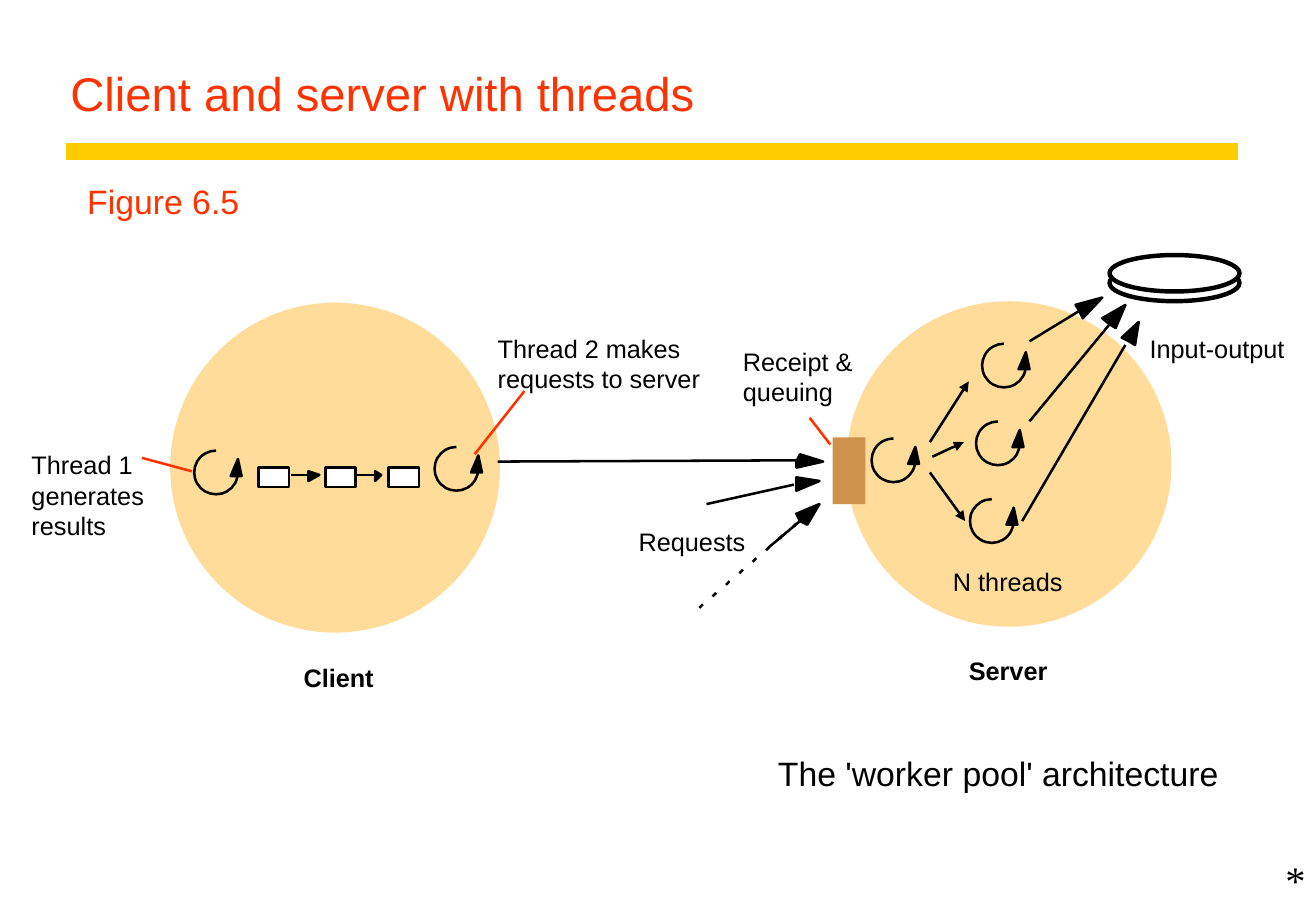
from lxml.etree import SubElement
from pptx import Presentation
from pptx.dml.color import RGBColor
from pptx.enum.shapes import MSO_CONNECTOR, MSO_SHAPE
from pptx.enum.text import MSO_ANCHOR, MSO_AUTO_SIZE, PP_ALIGN
from pptx.oxml.ns import qn
from pptx.util import Inches, Pt

BLACK = RGBColor(0x00, 0x00, 0x00)
WHITE = RGBColor(0xFF, 0xFF, 0xFF)
RED = RGBColor(0xFF, 0x33, 0x00)
YELLOW = RGBColor(0xFF, 0xCC, 0x00)
PEACH = RGBColor(0xFF, 0xDC, 0x99)
BROWN = RGBColor(0xCF, 0x92, 0x4C)

TITLE = "Client and server with threads"
DIAGRAM_LABELS = [
    (0.26, 3.7, 1.0, ["Thread 1", "generates", "results"], False),
    (4.1, 2.74, 1.75, ["Thread 2 makes", "requests to server"], False),
    (6.12, 2.85, 1.0, ["Receipt &", "queuing"], False),
    (9.47, 2.74, 1.2, ["Input-output"], False),
    (5.26, 4.33, 0.95, ["Requests"], False),
    (7.85, 4.66, 1.0, ["N threads"], False),
    (2.5, 5.45, 0.65, ["Client"], True),
    (7.98, 5.39, 0.72, ["Server"], True),
]
CAPTIONS = [
    (0.62, 1.44, 1.45, 0.44, "Figure 6.5", 20, "Arial", RED),
    (6.31, 6.15, 3.83, 0.44, "The 'worker pool' architecture", 20, "Arial", BLACK),
    (10.49, 6.99, 0.33, 0.5, "*", 24, "Times New Roman", BLACK),
]
RESULT_BOXES = [2.13, 2.68, 3.2]
DISK_TOPS = [2.18, 2.1]
THREAD_LOOPS = [(1.6, 3.71), (3.58, 3.68), (7.18, 3.61),
                (8.09, 2.83), (8.04, 3.47), (7.99, 4.11)]
POINTERS = [
    ((1.17, 3.77), (1.58, 3.88)),
    ((3.91, 3.74), (4.32, 3.22)),
    ((6.67, 3.44), (6.84, 3.66)),
]
DISPATCH_ARROWS = [
    ((7.66, 3.64), (7.98, 3.14)),
    ((7.68, 3.76), (7.94, 3.64)),
    ((7.66, 3.89), (7.95, 4.29)),
]
FLOW_ARROWS = [
    ((2.4, 3.91), (2.54, 3.91), [(2.54, 3.88), (2.63, 3.91), (2.54, 3.96)]),
    ((2.94, 3.91), (3.08, 3.91), [(3.09, 3.88), (3.14, 3.91), (3.09, 3.96)]),
    ((4.1, 3.8), (6.56, 3.79), [(6.59, 3.74), (6.78, 3.8), (6.56, 3.85), (6.56, 3.8)]),
    ((5.82, 4.15), (6.54, 3.99), [(6.56, 3.93), (6.75, 3.96), (6.56, 4.04)]),
    ((6.34, 4.5), (6.59, 4.29), [(6.56, 4.23), (6.75, 4.15), (6.65, 4.32), (6.59, 4.29)]),
    ((8.48, 2.81), (8.89, 2.56), [(8.86, 2.51), (9.08, 2.45), (8.92, 2.62), (8.89, 2.56)]),
    ((8.48, 3.47), (9.14, 2.67), [(9.08, 2.62), (9.27, 2.51), (9.19, 2.7), (9.14, 2.67)]),
    ((8.42, 4.29), (9.27, 2.84), [(9.24, 2.78), (9.38, 2.65), (9.35, 2.84), (9.3, 2.81)]),
]
DASH_COUNT = 8


def paint(shape, fill, line, width=1.5):
    """Set fill and outline, with None for an absent one."""
    shape.shadow.inherit = False
    if fill is None:
        shape.fill.background()
    else:
        shape.fill.solid()
        shape.fill.fore_color.rgb = fill
    if line is None:
        shape.line.fill.background()
    else:
        shape.line.color.rgb = line
        shape.line.width = Pt(width)


def add_preset(slide, kind, box, fill, line=None, width=1.5):
    """Add a preset shape at left, top, width, height in inches."""
    shape = slide.shapes.add_shape(kind, *map(Inches, box))
    paint(shape, fill, line, width)
    return shape


def add_line(slide, start, end, color=BLACK, width=1.5, arrow=False):
    """Add a straight connector, with an optional arrowhead."""
    connector = slide.shapes.add_connector(
        MSO_CONNECTOR.STRAIGHT, *map(Inches, (*start, *end)))
    connector.line.color.rgb = color
    connector.line.width = Pt(width)
    if arrow:
        SubElement(connector.line._get_or_add_ln(), qn("a:tailEnd"), type="triangle")
    SubElement(connector._element.spPr, qn("a:effectLst"))


def add_arrowhead(slide, points):
    """Add a solid black arrowhead."""
    corners = [(Inches(x), Inches(y)) for x, y in points]
    builder = slide.shapes.build_freeform(*corners[0])
    builder.add_line_segments(corners[1:], close=True)
    paint(builder.convert_to_shape(), BLACK, BLACK)


def add_thread_loop(slide, left, top):
    """Add a three-quarter circle ending in an arrowhead."""
    arc = add_preset(slide, MSO_SHAPE.ARC, (left, top, 0.36, 0.36), None, BLACK)
    arc.adjustments[0] = 0
    arc.adjustments[1] = 162
    add_arrowhead(slide, [(left + 0.3, top + 0.21), (left + 0.36, top + 0.07),
                          (left + 0.39, top + 0.21)])


def format_run(run, size, color, font_name="Arial", bold=False):
    """Set the font of one run."""
    run.font.name = font_name
    run.font.size = Pt(size)
    run.font.bold = bold
    run.font.color.rgb = color


def add_text(slide, box, lines, size, color, font_name="Arial", bold=False, inset=True):
    """Add a left-aligned text box, one paragraph per line."""
    frame = slide.shapes.add_textbox(*map(Inches, box)).text_frame
    frame.word_wrap = False
    frame.auto_size = MSO_AUTO_SIZE.SHAPE_TO_FIT_TEXT
    if not inset:
        frame.margin_left = frame.margin_right = 0
        frame.margin_top = frame.margin_bottom = 0
    for index, line in enumerate(lines):
        paragraph = frame.add_paragraph() if index else frame.paragraphs[0]
        paragraph.alignment = PP_ALIGN.LEFT
        run = paragraph.add_run()
        run.text = line
        format_run(run, size, color, font_name, bold)


def add_title(slide):
    """Place the title and the yellow rule under it."""
    title = slide.shapes.title
    title.left, title.top = Inches(0.48), Inches(0.25)
    title.width, title.height = Inches(9.72), Inches(0.8)
    frame = title.text_frame
    frame.auto_size = MSO_AUTO_SIZE.NONE
    frame.vertical_anchor = MSO_ANCHOR.BOTTOM
    paragraph = frame.paragraphs[0]
    paragraph.alignment = PP_ALIGN.LEFT
    paragraph.line_spacing = 0.9
    run = paragraph.add_run()
    run.text = TITLE
    format_run(run, 28, RED)
    add_line(slide, (0.54, 1.25), (10.2, 1.25), YELLOW, 10)


def add_diagram(slide):
    """Draw the client, the server and the arrows between them."""
    add_preset(slide, MSO_SHAPE.OVAL, (1.42, 2.51, 2.68, 2.68), PEACH, PEACH, 2.64)
    add_preset(slide, MSO_SHAPE.OVAL, (6.97, 2.48, 2.68, 2.68), PEACH)
    for left in RESULT_BOXES:
        add_preset(slide, MSO_SHAPE.RECTANGLE, (left, 3.85, 0.25, 0.16), WHITE, BLACK)
    for top in DISK_TOPS:
        add_preset(slide, MSO_SHAPE.OVAL, (9.14, top, 1.07, 0.3), WHITE, BLACK, 2.64)
    add_preset(slide, MSO_SHAPE.RECTANGLE, (6.86, 3.6, 0.27, 0.55), BROWN)
    for start, end in POINTERS:
        add_line(slide, start, end, RED)
    for start, end in DISPATCH_ARROWS:
        add_line(slide, start, end, arrow=True)
    for start, end, head in FLOW_ARROWS:
        add_line(slide, start, end)
        add_arrowhead(slide, head)
    for index in range(DASH_COUNT):
        x, y = 6.56 - 0.11 * index, 4.31 + 0.095 * index
        add_line(slide, (x, y), (x - 0.03, y + 0.03))
    for left, top in THREAD_LOOPS:
        add_thread_loop(slide, left, top)


def main():
    """Build the slide and save it."""
    presentation = Presentation()
    presentation.slide_width, presentation.slide_height = Inches(10.84), Inches(7.5)
    slide = presentation.slides.add_slide(presentation.slide_layouts[5])
    add_title(slide)
    add_diagram(slide)
    for left, top, width, lines, bold in DIAGRAM_LABELS:
        add_text(slide, (left, top, width, 0.25 * len(lines)), lines, 15, BLACK,
                 bold=bold, inset=False)
    for left, top, width, height, text, size, font_name, color in CAPTIONS:
        add_text(slide, (left, top, width, height), [text], size, color, font_name)
    presentation.save("out.pptx")


if __name__ == "__main__":
    main()
